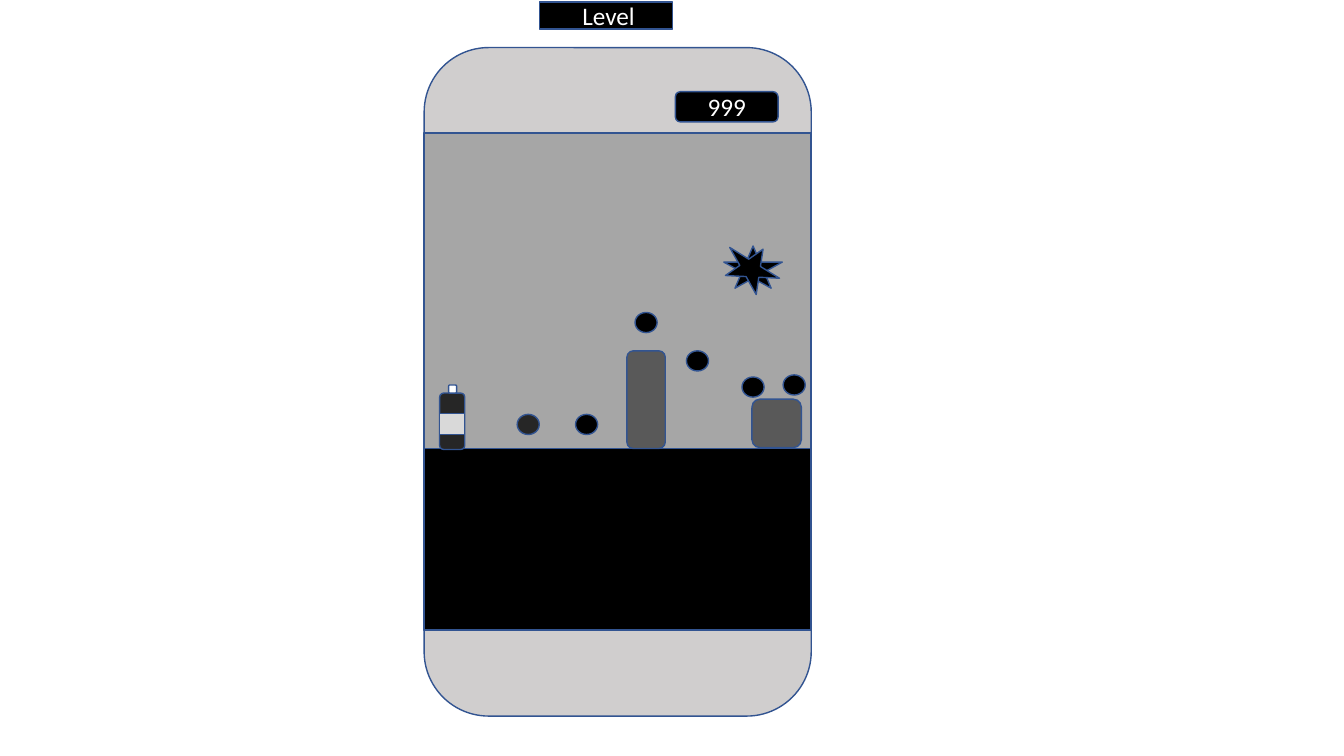
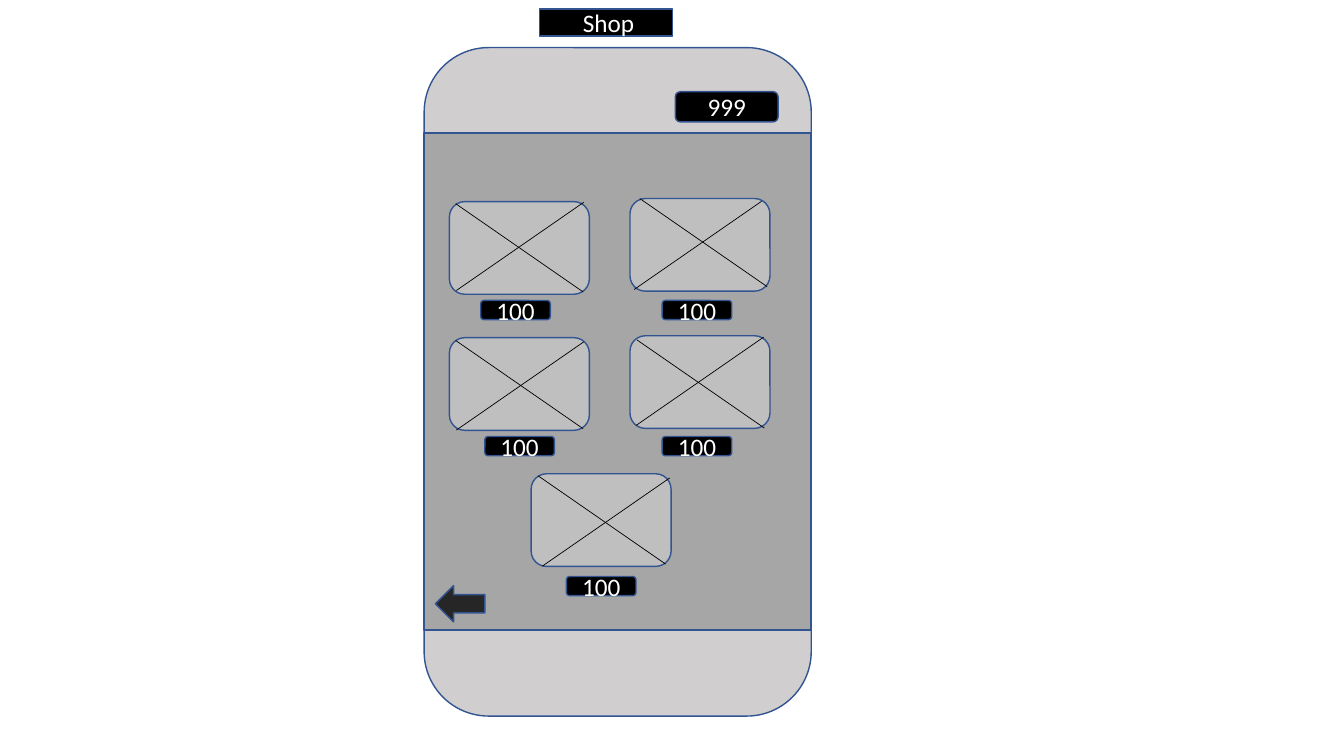
from dataclasses import dataclass

import pptx
import pptx.dml.color
import pptx.enum.shapes
import pptx.enum.text
import pptx.oxml
import pptx.oxml.ns
import pptx.util

Pt = pptx.util.Pt
SHAPE = pptx.enum.shapes.MSO_SHAPE
TITLE_ONLY = 5


@dataclass(frozen=True)
class Theme:
    font: str = "Calibri"
    size: float = 18
    outline_width: float = 1
    cross_width: float = 0.5
    outline: str = "325491"
    light: str = "FFFFFF"
    black: str = "000000"
    case: str = "D0CECE"
    screen: str = "A6A6A6"
    card: str = "BFBFBF"
    obstacle: str = "595959"
    dark: str = "262626"
    label: str = "D9D9D9"


THEME = Theme()

# Shared geometry, in points
PHONE_LEFT, PHONE_WIDTH = 303, 276.5
SCREEN_TOP, SCREEN_HEIGHT = 95, 355
GROUND_TOP = 320.5
BALL = (15.8, 14.4)
CARD = (100, 66.2)
PRICE = (49.7, 13.7)
CROSS = (91, 63)


def rgb(value):
    return pptx.dml.color.RGBColor.from_string(value)


def write(shape, text, size=THEME.size, color=THEME.light, font=THEME.font):
    """Put one centred line of text in a shape."""
    frame = shape.text_frame
    frame.text = text
    frame.word_wrap = True
    frame.auto_size = pptx.enum.text.MSO_AUTO_SIZE.NONE
    frame.vertical_anchor = pptx.enum.text.MSO_ANCHOR.MIDDLE
    paragraph = frame.paragraphs[0]
    paragraph.alignment = pptx.enum.text.PP_ALIGN.CENTER
    run_font = paragraph.runs[0].font
    run_font.name, run_font.size = font, Pt(size)
    run_font.color.rgb = rgb(color)


class Mockup:
    """Holds the style and the slide being drawn."""

    def __init__(self, theme):
        self.theme = theme
        self.deck = pptx.Presentation()
        self.deck.slide_width, self.deck.slide_height = Pt(960), Pt(540)
        self.slide = None

    def paint(self, shape, fill):
        shape.fill.solid()
        shape.fill.fore_color.rgb = rgb(fill)
        shape.line.color.rgb = rgb(self.theme.outline)
        shape.line.width = Pt(self.theme.outline_width)

    def shape(self, kind, left, top, width, height, fill, rotation=0):
        item = self.slide.shapes.add_shape(
            kind, Pt(left), Pt(top), Pt(width), Pt(height))
        item.shadow.inherit = False
        item.rotation = rotation
        self.paint(item, fill)
        return item

    def rect(self, *box, fill):
        return self.shape(SHAPE.RECTANGLE, *box, fill)

    def rounded(self, *box, fill):
        return self.shape(SHAPE.ROUNDED_RECTANGLE, *box, fill)

    def badge(self, left, top, width, height, text):
        write(self.rounded(left, top, width, height, fill=self.theme.black), text)

    def line(self, left, top, dx, dy):
        stroke = self.slide.shapes.add_connector(
            pptx.enum.shapes.MSO_CONNECTOR.STRAIGHT,
            Pt(left), Pt(top), Pt(left + dx), Pt(top + dy))
        stroke.line.color.rgb = rgb(self.theme.black)
        stroke.line.width = Pt(self.theme.cross_width)
        stroke._element.spPr.append(pptx.oxml.parse_xml(
            f'<a:effectLst {pptx.oxml.ns.nsdecls("a")}/>'))

    def title(self, text, top):
        heading = self.slide.shapes.title
        heading.left, heading.top = Pt(385.2), Pt(top)
        heading.width, heading.height = Pt(95), Pt(19.4)
        self.paint(heading, self.theme.black)
        write(heading, text)

    def phone(self, name, title_top):
        """Start a slide with its title, phone case, screen and score."""
        self.slide = self.deck.slides.add_slide(
            self.deck.slide_layouts[TITLE_ONLY])
        self.title(name, title_top)
        self.rounded(PHONE_LEFT, 34, PHONE_WIDTH, 477.5, fill=self.theme.case)
        self.rect(PHONE_LEFT, SCREEN_TOP, PHONE_WIDTH, SCREEN_HEIGHT,
                  fill=self.theme.screen)
        self.badge(482.4, 65.5, 73.4, 21.6, "999")

    def ball(self, left, top, fill):
        self.shape(SHAPE.OVAL, left, top, *BALL, fill)

    def product(self, card, falling, rising, price):
        """A crossed card; the strokes start at offsets from its corner."""
        left, top = card
        dx, dy = CROSS
        self.rounded(left, top, *CARD, fill=self.theme.card)
        self.line(left + falling[0], top + falling[1], dx, dy)
        self.line(left + rising[0], top + rising[1], dx, -dy)
        self.badge(*price, *PRICE, "100")


def draw_level(mockup):
    theme = mockup.theme
    mockup.phone(" Level", 1.4)
    mockup.rect(PHONE_LEFT, GROUND_TOP, PHONE_WIDTH,
                SCREEN_TOP + SCREEN_HEIGHT - GROUND_TOP, fill=theme.black)

    # Spray bottle
    mockup.rounded(314, 280.8, 18, 40.3, fill=theme.dark)
    mockup.rect(314, 295.2, 18, 15.1, fill=theme.label)
    mockup.rounded(320.4, 275, 5.8, 5.8, fill=theme.light)

    # Obstacles
    mockup.rounded(447.8, 250.6, 27.4, 69.8, fill=theme.obstacle)
    mockup.rounded(537.1, 285.1, 35.3, 34.6, fill=theme.obstacle)

    # Bouncing ball and its trail
    mockup.ball(369.4, 296, theme.dark)
    for left, top in ((411.1, 296), (453.6, 223.2), (490.3, 250.6),
                      (530, 269.3), (559.4, 267.8)):
        mockup.ball(left, top, theme.black)

    # Splash
    for left, rotation in ((517, 0), (516.2, 31.8)):
        mockup.shape(SHAPE.STAR_5_POINT, left, 175.7, 41.8, 30.2,
                     theme.black, rotation)


def draw_shop(mockup):
    mockup.phone(" Shop", 6.5)

    # Products: card, falling and rising stroke, price
    for product in (
        ((321, 144), (4.5, 1.5), (5, 63.5), (343.4, 214.6)),
        ((450, 141.8), (7, 0), (3, 65), (473, 214.6)),
        ((321, 241.2), (4.5, 2), (5, 66), (346.3, 311.8)),
        ((450, 239.8), (5, 3), (4.5, 64), (473, 311.8)),
        ((379.4, 338.4), (5, 1.5), (8, 66), (404.6, 411.8)),
    ):
        mockup.product(*product)

    # Back button
    mockup.shape(SHAPE.RIGHT_ARROW, 311, 418.3, 35.3, 25.9,
                 mockup.theme.dark, 180)


def main():
    mockup = Mockup(THEME)
    draw_level(mockup)
    draw_shop(mockup)
    mockup.deck.save("out.pptx")


if __name__ == "__main__":
    main()
